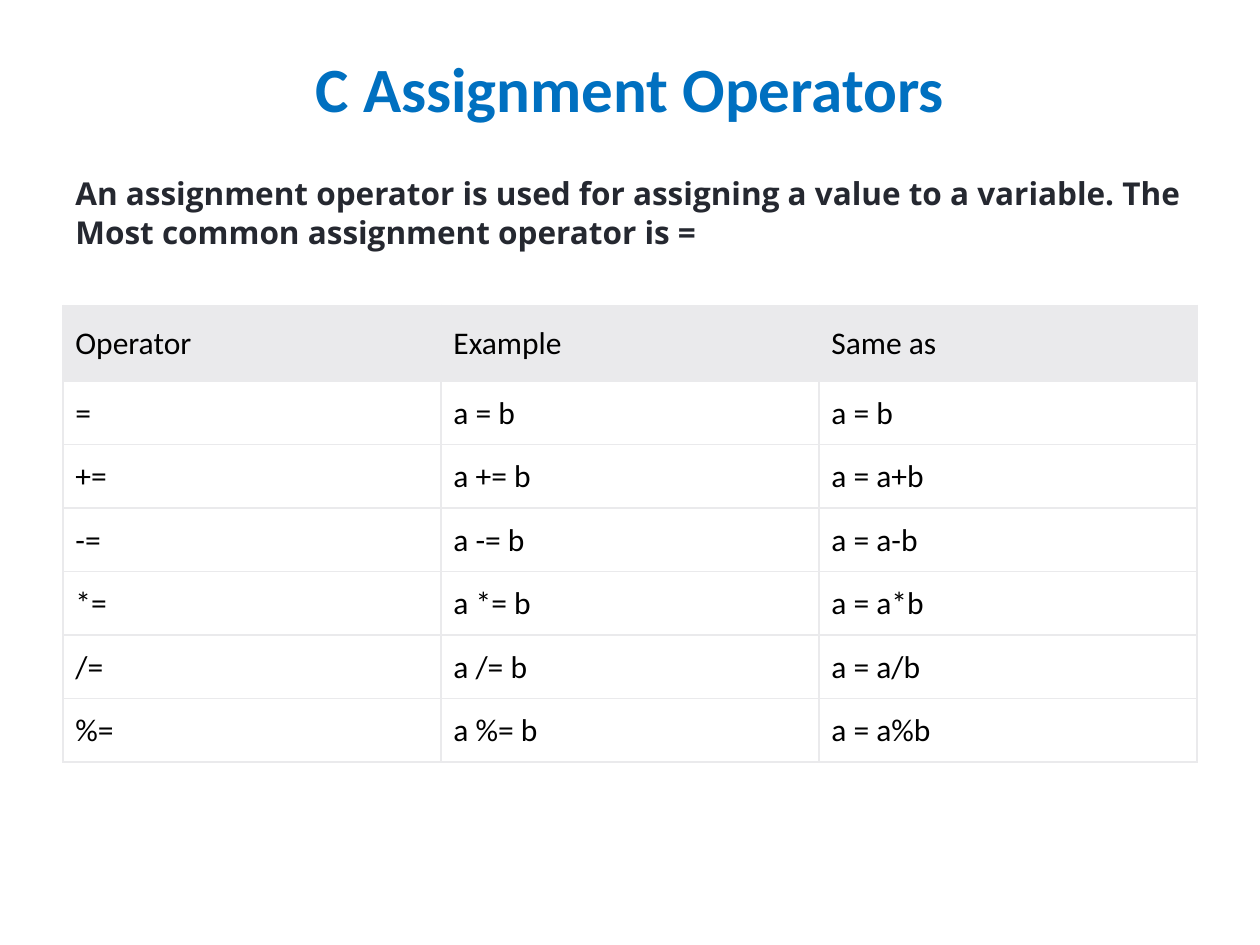
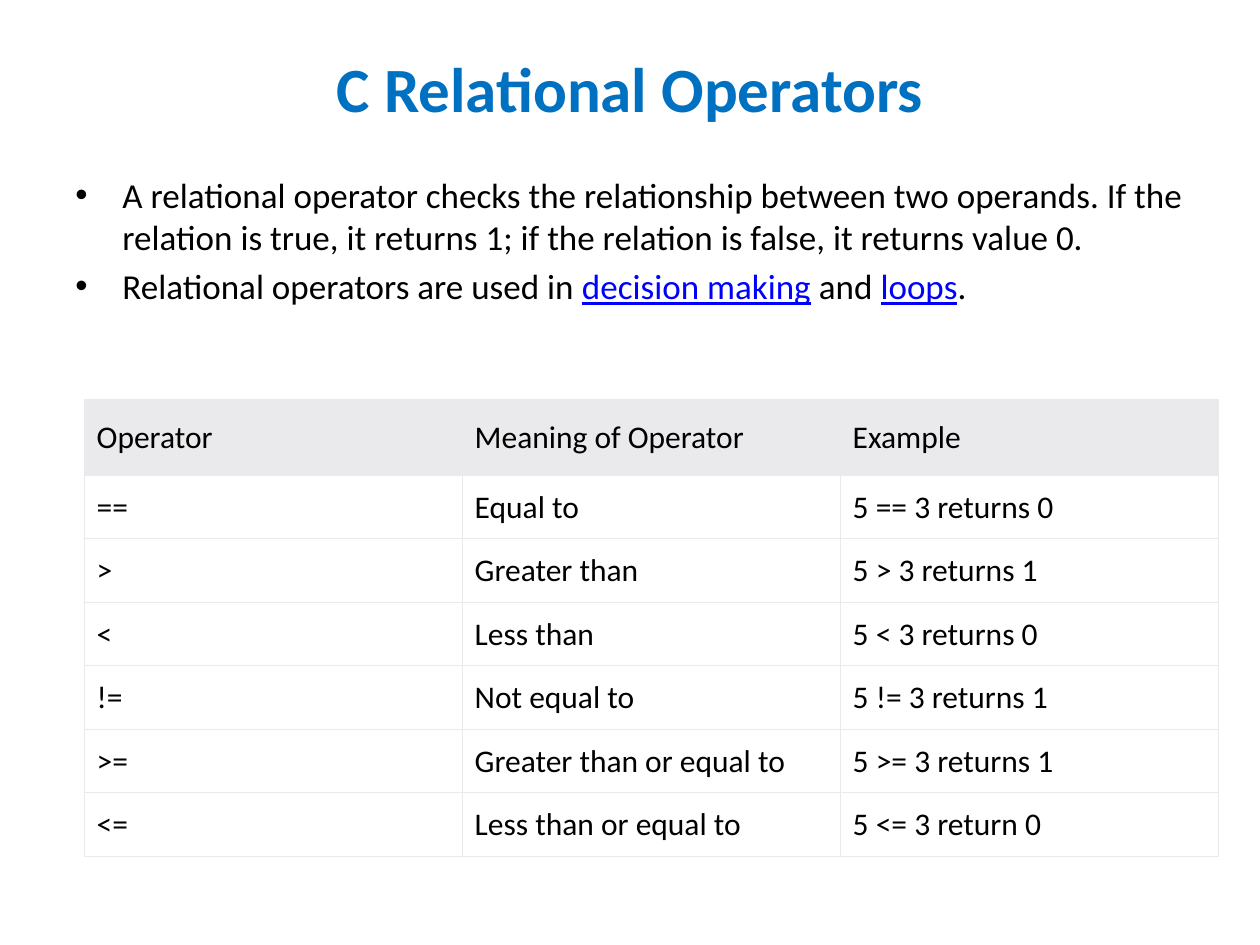
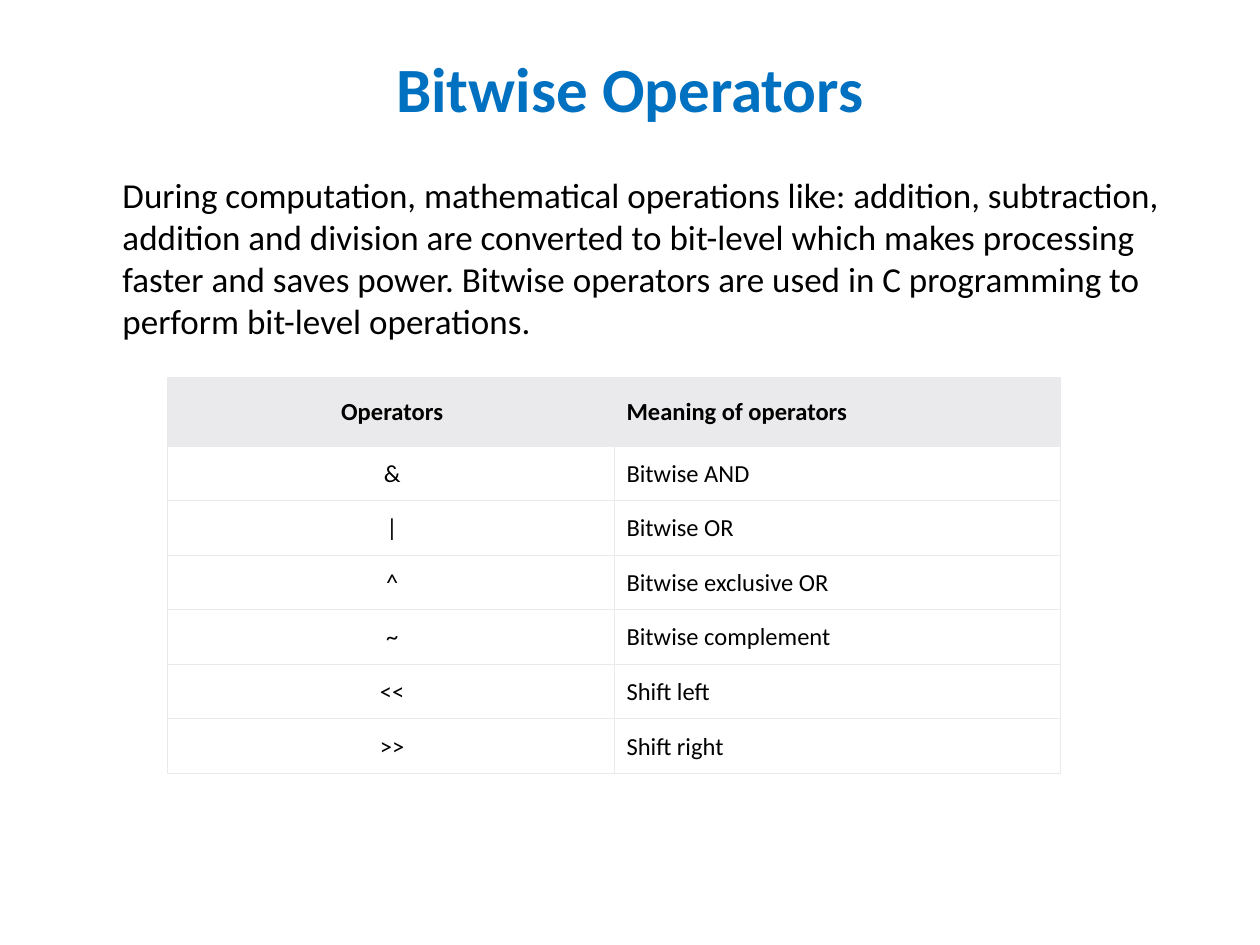
from lxml.etree import SubElement
from pptx import Presentation
from pptx.dml.color import RGBColor
from pptx.enum.text import MSO_ANCHOR as Anchor, PP_ALIGN as Align
from pptx.oxml.ns import qn
from pptx.util import Cm, Pt


def color(value):
    return RGBColor.from_string(value)


class OperatorDeck:
    BLUE, DARK, BLACK, LINK = "0070C0", "252830", "000000", "0000FF"
    GREY, WHITE = "EAEAEC", "FFFFFF"
    LEFT, WIDTH, INDENT = 1.27, 22.86, 0.95

    def __init__(self):
        self.deck = Presentation()
        self.deck.slide_width, self.deck.slide_height = Cm(25.4), Cm(19.05)
        self.slide = None

    def style(self, span, size, tint=BLACK, bold=False, name="Calibri"):
        span.font.name, span.font.size, span.font.bold = name, Pt(size), bold
        span.font.color.rgb = color(tint)

    def place(self, shape, left, top, width, height):
        shape.left, shape.top = Cm(left), Cm(top)
        shape.width, shape.height = Cm(width), Cm(height)

    def add_page(self, title):
        self.slide = self.deck.slides.add_slide(self.deck.slide_layouts[5])
        box = self.slide.shapes.title
        self.place(box, self.LEFT, 0.76, self.WIDTH, 1.98)
        frame = box.text_frame
        frame.text = title
        frame.vertical_anchor = Anchor.MIDDLE
        frame.paragraphs[0].alignment = Align.CENTER
        self.style(frame.paragraphs[0].runs[0], 36, self.BLUE, True)

    def add_body(self, height, paragraphs, size=20, gap=4, bullet=False,
                 hanging=True, tint=BLACK, **look):
        box = self.slide.shapes.add_textbox(
            Cm(self.LEFT), Cm(3.38), Cm(self.WIDTH), Cm(height))
        frame = box.text_frame
        frame.word_wrap = True
        for index, parts in enumerate(paragraphs):
            para = frame.paragraphs[0] if index == 0 else frame.add_paragraph()
            if index:
                para.space_before = Pt(gap)
            props = para._p.get_or_add_pPr()
            props.set("marL", str(Cm(self.INDENT)))
            props.set("indent", str(-Cm(self.INDENT) if hanging else 0))
            if bullet:
                SubElement(props, qn("a:buFont"), typeface="Arial")
                SubElement(props, qn("a:buChar"), char="•")
            else:
                SubElement(props, qn("a:buNone"))
            for position, text in enumerate(parts):
                linked = position % 2 == 1
                span = para.add_run()
                span.text = text
                self.style(span, size, self.LINK if linked else tint, **look)
                span.font.underline = linked

    def add_borders(self, cell):
        props = cell._tc.get_or_add_tcPr()
        for side in ("lnL", "lnR", "lnT", "lnB"):
            line = SubElement(props, qn(f"a:{side}"), w=str(Pt(0.75)))
            fill = SubElement(line, qn("a:solidFill"))
            SubElement(fill, qn("a:srgbClr"), val=self.GREY)

    def add_table(self, left, top, width, rows, size=18, heights=(1.53, 1.28),
                  bold_header=False, center_first=False):
        head_height, row_height = heights
        columns = len(rows[0])
        height = head_height + row_height * (len(rows) - 1)
        table = self.slide.shapes.add_table(
            len(rows), columns, Cm(left), Cm(top), Cm(width), Cm(height)).table
        table.first_row = table.horz_banding = False
        for column in table.columns:
            column.width = Cm(width / columns)
        for r, texts in enumerate(rows):
            header = r == 0
            table.rows[r].height = Cm(head_height if header else row_height)
            for c, text in enumerate(texts):
                cell = table.cell(r, c)
                self.add_borders(cell)
                cell.fill.solid()
                cell.fill.fore_color.rgb = color(self.GREY if header else self.WHITE)
                cell.vertical_anchor = Anchor.MIDDLE
                cell.margin_left, cell.margin_right = Cm(0.25), Cm(0.2)
                cell.margin_top = Cm(0.39 if header else 0.26)
                cell.margin_bottom = Cm(0.37 if header else 0.24)
                cell.text_frame.text = text
                para = cell.text_frame.paragraphs[0]
                if center_first and c == 0:
                    para.alignment = Align.CENTER
                self.style(para.runs[0], size, bold=header and bold_header)


def main():
    show = OperatorDeck()

    show.add_page("C Assignment Operators")
    show.add_body(1.9, [
        ["An assignment operator is used for assigning a value to a variable. The"],
        ["Most common assignment operator is ="],
    ], size=18, gap=1, tint=show.DARK, bold=True, name="Open Sans")
    show.add_table(1.27, 6.15, 22.86, [
        ("Operator", "Example", "Same as"),
        ("=", "a = b", "a = b"),
        *((f"{sign}=", f"a {sign}= b", f"a = a{sign}b") for sign in "+-*/%"),
    ])

    show.add_page("C Relational Operators")
    show.add_body(3.18, [
        ["A relational operator checks the relationship between two operands. "
         "If the relation is true, it returns 1; if the relation is false, "
         "it returns value 0."],
        ["Relational operators are used in ", "decision making", " and ",
         "loops", "."],
    ], bullet=True)
    show.add_table(1.7, 8.05, 22.86, [
        ("Operator", "Meaning of Operator", "Example"),
        ("==", "Equal to", "5 == 3 returns 0"),
        (">", "Greater than", "5 > 3 returns 1"),
        ("<", "Less than", "5 < 3 returns 0"),
        ("!=", "Not equal to", "5 != 3 returns 1"),
        (">=", "Greater than or equal to", "5 >= 3 returns 1"),
        ("<=", "Less than or equal to", "5 <= 3 return 0"),
    ])

    show.add_page("Bitwise Operators")
    show.add_body(3.6, [
        ["During computation, mathematical operations like: addition, "
         "subtraction, addition and division are converted to bit-level which "
         "makes processing faster and saves power. Bitwise operators are used "
         "in C programming to perform bit-level operations."],
    ], hanging=False)
    show.add_table(3.38, 7.62, 18, [
        ("Operators", "Meaning of operators"),
        ("&", "Bitwise AND"),
        ("|", "Bitwise OR"),
        ("^", "Bitwise exclusive OR"),
        ("~", "Bitwise complement"),
        ("<<", "Shift left"),
        (">>", "Shift right"),
    ], size=14, heights=(1.37, 1.1), bold_header=True, center_first=True)

    show.deck.save("out.pptx")


if __name__ == "__main__":
    main()
